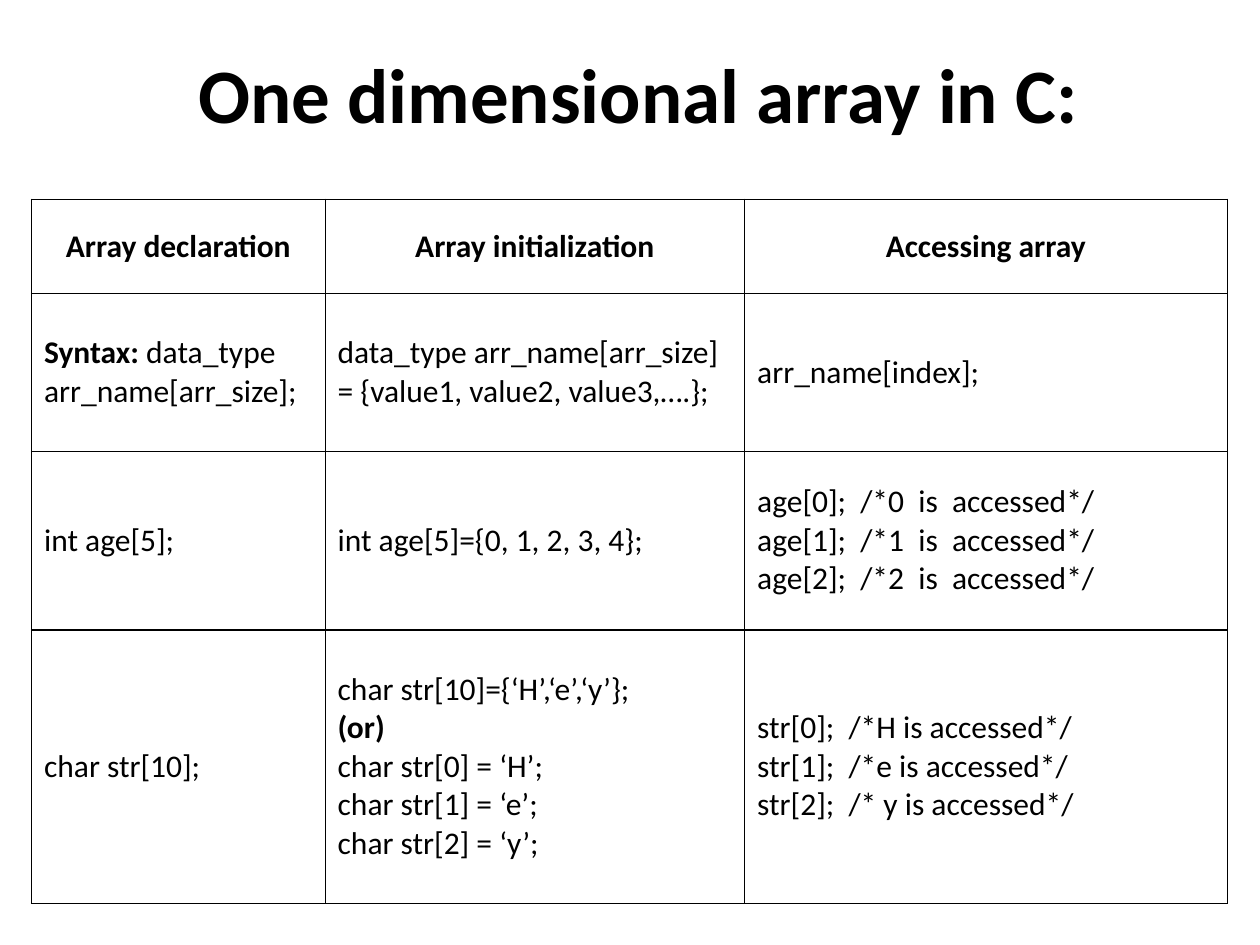
from lxml import etree
from pptx import Presentation
from pptx.dml.color import RGBColor
from pptx.enum.text import MSO_ANCHOR, PP_ALIGN
from pptx.oxml.ns import qn
from pptx.util import Inches, Pt

MIDDLE = MSO_ANCHOR.MIDDLE
CENTER, LEFT = PP_ALIGN.CENTER, PP_ALIGN.LEFT
COLORS = {"text": "000000", "border": "000000", "background": "FFFFFF"}
FONT = "Calibri"
GAP = " \u00a0"


def write_text(frame, lines, size, align):
    """Write one paragraph per line; text between ** marks is bold."""
    frame.word_wrap = True
    for number, line in enumerate(lines):
        para = frame.add_paragraph() if number else frame.paragraphs[0]
        para.alignment = align
        for part, text in enumerate(line.split("**")):
            if text:
                span = para.add_run()
                span.text = text
                span.font.name = FONT
                span.font.size = Pt(size)
                span.font.bold = part % 2 == 1
                span.font.color.rgb = RGBColor.from_string(COLORS["text"])


def add_borders(cell):
    """Draw a thin line on all four sides of a table cell."""
    properties = cell._tc.get_or_add_tcPr()
    for position, side in enumerate(("lnL", "lnR", "lnT", "lnB")):
        line = etree.Element(qn(f"a:{side}"), w=str(Pt(0.75)))
        fill = etree.SubElement(line, qn("a:solidFill"))
        etree.SubElement(fill, qn("a:srgbClr"), val=COLORS["border"])
        properties.insert(position, line)


deck = Presentation()
deck.slide_width, deck.slide_height = Inches(10), Inches(7.5)
page = deck.slides.add_slide(deck.slide_layouts[6])
page.background.fill.solid()
page.background.fill.fore_color.rgb = RGBColor.from_string(COLORS["background"])

title = page.shapes.add_textbox(Inches(0.5), Inches(0.3), Inches(9), Inches(0.87))
title.text_frame.vertical_anchor = MIDDLE
write_text(title.text_frame, ["** One dimensional array in C:**"], 44, CENTER)

column_widths = [2.33, 3.33, 3.83]
row_heights = [0.75, 1.25, 1.42, 2.17]
rows = [
    [["**Array declaration**"], ["**Array initialization**"], ["**Accessing array**"]],
    [
        ["**Syntax:\u00a0**data_type arr_name[arr_size];"],
        ["data_type arr_name[arr_size] = {value1, value2, value3,….};"],
        ["arr_name[index];"],
    ],
    [
        ["int age[5];"],
        ["int age[5]={0, 1, 2, 3, 4};"],
        [GAP.join([f"age[{i}];", f"/*{i}", "is", "accessed*/"]) for i in range(3)],
    ],
    [
        ["char str[10];"],
        ["char\u00a0str[10]={‘H’,‘e’,‘y’};", "**(or)**"]
        + [f"char str[{i}] = ‘{letter}’;" for i, letter in enumerate("Hey")],
        [f"str[{i}];{GAP}/*{letter} is accessed*/"
         for i, letter in enumerate(["H", "e", " y"])],
    ],
]

table = page.shapes.add_table(
    len(rows), len(column_widths), Inches(0.25), Inches(1.58),
    Inches(sum(column_widths)), Inches(sum(row_heights)),
).table
for column, width in zip(table.columns, column_widths):
    column.width = Inches(width)
for row_number, (height, row) in enumerate(zip(row_heights, rows)):
    table.rows[row_number].height = Inches(height)
    for column_number, lines in enumerate(row):
        cell = table.cell(row_number, column_number)
        cell.vertical_anchor = MIDDLE
        cell.fill.background()
        add_borders(cell)
        write_text(cell.text_frame, lines, 18, LEFT if row_number else CENTER)

deck.save("out.pptx")
